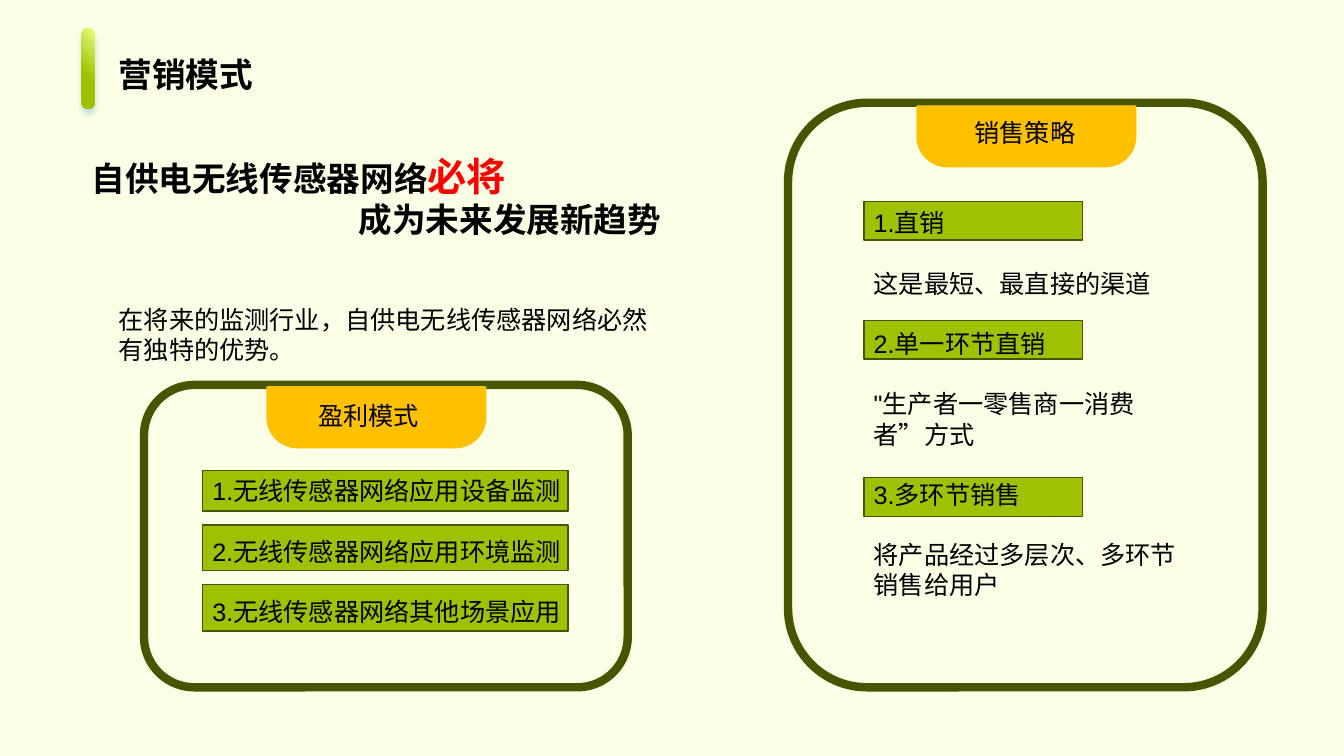
import pptx
import pptx.dml.color
import pptx.enum.shapes
import pptx.enum.text
import pptx.oxml
import pptx.oxml.ns
import pptx.util
from pptx.util import Cm

RGBColor = pptx.dml.color.RGBColor
Preset = pptx.enum.shapes.MSO_SHAPE

CREAM = RGBColor(0xFB, 0xFF, 0xE6)
LIME = RGBColor(0x9F, 0xC2, 0x00)
PALE_LIME = RGBColor(0xE8, 0xFF, 0x81)
OLIVE = RGBColor(0x46, 0x55, 0x00)
AMBER = RGBColor(0xFF, 0xC0, 0x00)
BLACK = RGBColor(0x00, 0x00, 0x00)
RED = RGBColor(0xFF, 0x00, 0x00)

SHADOW = (
    '<a:outerShdw %s blurRad="50800" dist="50800" dir="5400000" algn="t" rotWithShape="0">'
    '<a:srgbClr val="0066A7"><a:alpha val="20000"/></a:srgbClr></a:outerShdw>'
    % pptx.oxml.ns.nsdecls("a")
)


class MarketingSlide:
    """Hold the style and the current slide, and draw each kind of element."""

    font_name = "Arial"
    body_size = 18
    title_size = 24

    def __init__(self, deck):
        self.page = deck.slides.add_slide(deck.slide_layouts[6])
        self.page.background.fill.solid()
        self.page.background.fill.fore_color.rgb = CREAM

    def shape(self, preset, left, top, width, height, fill=None, line=None, weight=1):
        shape = self.page.shapes.add_shape(preset, Cm(left), Cm(top), Cm(width), Cm(height))
        shape.shadow.inherit = False
        if fill is None:
            shape.fill.background()
        else:
            shape.fill.solid()
            shape.fill.fore_color.rgb = fill
        if line is None:
            shape.line.fill.background()
        else:
            shape.line.color.rgb = line
            shape.line.width = pptx.util.Pt(weight)
        return shape

    def bar(self, left, top, width, height):
        self.shape(Preset.RECTANGLE, left, top, width, height, LIME, OLIVE)

    def panel(self, left, top, width, height):
        self.shape(Preset.ROUNDED_RECTANGLE, left, top, width, height, line=OLIVE, weight=6)

    def tab(self, left, top):
        tab = self.shape(Preset.ROUND_2_SAME_RECTANGLE, left, top, 5.51, 1.53, AMBER, AMBER)
        tab.rotation = 180
        tab.adjustments[0] = 0.5

    def accent(self, left, top, width, height):
        accent = self.shape(Preset.ROUNDED_RECTANGLE, left, top, width, height)
        accent.adjustments[0] = 0.45
        accent.fill.gradient()
        accent.fill.gradient_angle = 315
        for stop, position, color in zip(accent.fill.gradient_stops, (0, 0.6), (PALE_LIME, LIME)):
            stop.position = position
            stop.color.rgb = color
        properties = accent.element.spPr
        properties.xfrm.set("flipH", "1")
        effects = properties.find(pptx.oxml.ns.qn("a:effectLst"))
        effects.append(pptx.oxml.parse_xml(SHADOW))

    def style(self, font, size, bold=False, color=BLACK):
        font.name = self.font_name
        font.size = pptx.util.Pt(size)
        font.bold = bold
        font.color.rgb = color

    def text(self, left, top, width, height, lines, size=None, bold=False, gap=0):
        box = self.page.shapes.add_textbox(Cm(left), Cm(top), Cm(width), Cm(height))
        frame = box.text_frame
        frame.word_wrap = True
        frame.auto_size = pptx.enum.text.MSO_AUTO_SIZE.SHAPE_TO_FIT_TEXT
        for index, line in enumerate(lines):
            para = frame.paragraphs[0] if index == 0 else frame.add_paragraph()
            para.text = line
            if index and gap:
                para.space_before = pptx.util.Pt(gap)
            self.style(para.font, size or self.body_size, bold)
        return frame

    def headline(self, left, top, width, height, lines, emphasis, indent):
        frame = self.text(left, top, width, height, lines, self.title_size, True)
        first, second = frame.paragraphs
        span = first.add_run()
        span.text = emphasis
        self.style(span.font, 28, True, RED)
        second._p.get_or_add_pPr().set("marL", str(Cm(indent)))


def main():
    deck = pptx.Presentation()
    deck.slide_width, deck.slide_height = Cm(33.87), Cm(19.05)
    slide = MarketingSlide(deck)

    for top, height in ((11.86, 1.02), (13.23, 1.14), (14.73, 1.17)):
        slide.bar(5.1, top, 9.22, height)
    slide.text(5.1, 11.86, 10.11, 4.11, [
        "1.无线传感器网络应用设备监测",
        "2.无线传感器网络应用环境监测",
        "3.无线传感器网络其他场景应用",
    ], gap=21.5)

    for top in (5.08, 8.08, 12.04):
        slide.bar(21.77, top, 5.51, 0.97)

    slide.text(2.74, 1.24, 26.24, 1.27, ["营销模式"], slide.title_size, True)
    slide.accent(2.06, 0.71, 0.33, 2.03)
    slide.panel(3.63, 9.7, 12.19, 7.62)
    slide.panel(19.86, 2.59, 11.96, 14.73)
    slide.headline(2.06, 3.71, 17.81, 2.49,
                   ["自供电无线传感器网络", "成为未来发展新趋势"], "必将", 6.73)
    slide.text(2.74, 7.54, 13.92, 1.8,
               ["在将来的监测行业，自供电无线传感器网络必然有独特的优势。"])

    slide.tab(23.11, 2.67)
    slide.text(24.31, 2.82, 3.89, 1.02, ["销售策略"])
    slide.tab(6.73, 9.75)
    slide.text(7.77, 9.96, 3.84, 1.02, ["盈利模式"])

    slide.text(21.77, 5.11, 8.56, 10.26, [
        "1.直销",
        "这是最短、最直接的渠道",
        "2.单一环节直销",
        "\"生产者一零售商一消费者”方式",
        "3.多环节销售",
        "将产品经过多层次、多环节销售给用户",
    ], gap=21.5)

    deck.save("out.pptx")


if __name__ == "__main__":
    main()
